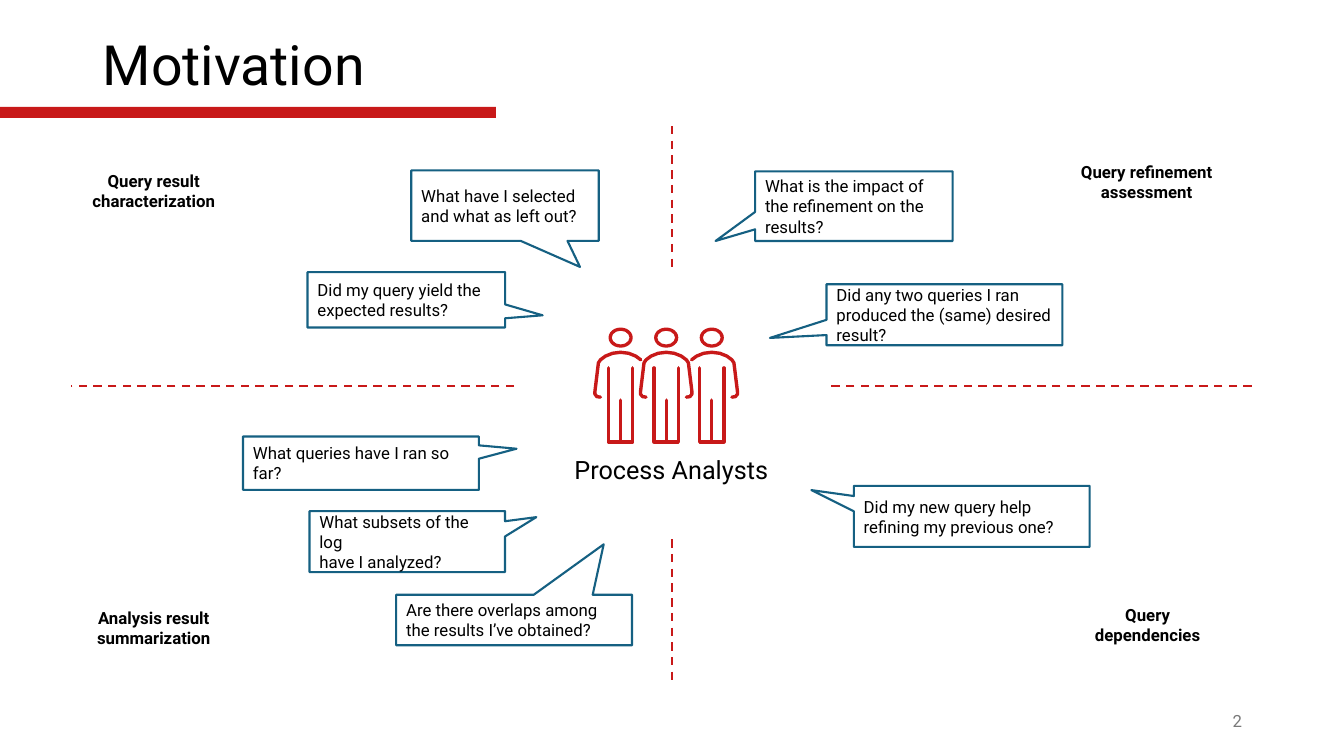
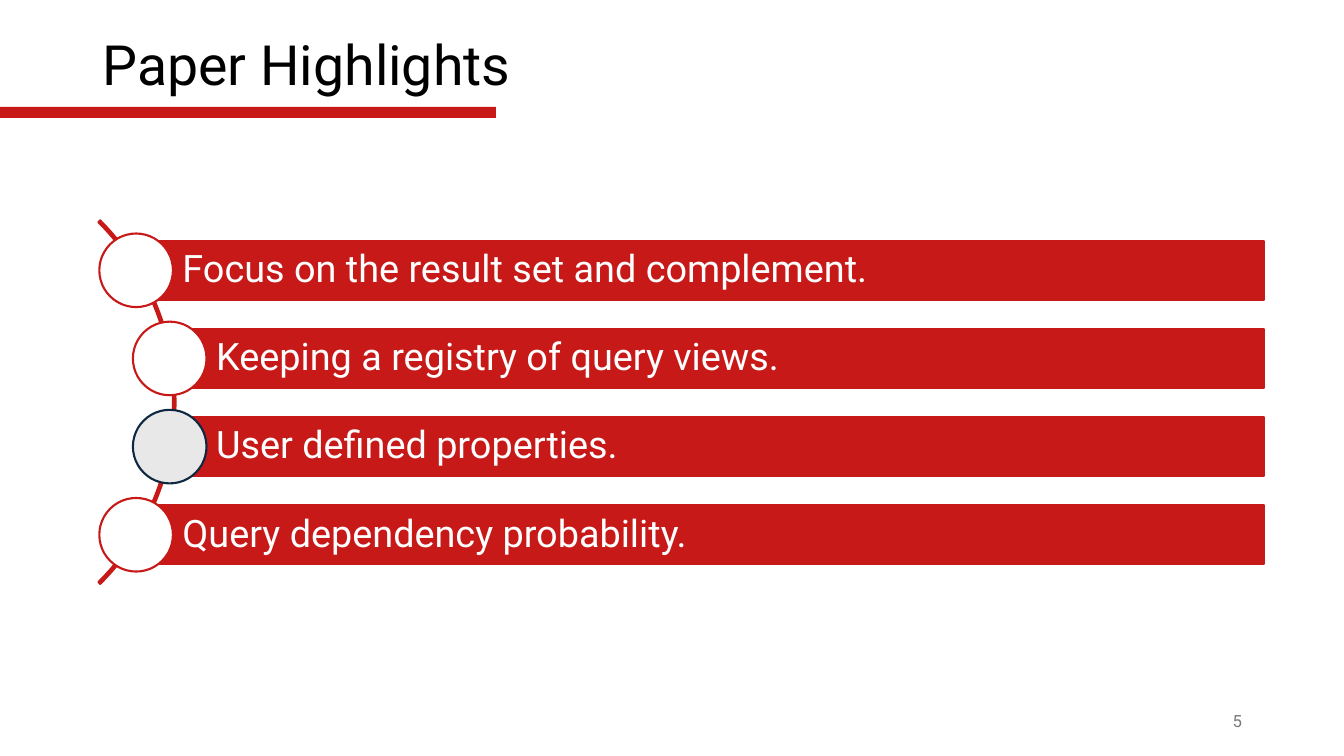
from lxml import etree
from pptx import Presentation
from pptx.dml.color import RGBColor
from pptx.enum.dml import MSO_LINE
from pptx.enum.shapes import MSO_CONNECTOR, MSO_SHAPE
from pptx.enum.text import MSO_ANCHOR, PP_ALIGN
from pptx.oxml.ns import qn
from pptx.util import Inches, Pt

RECT, CIRCLE, RING = MSO_SHAPE.RECTANGLE, MSO_SHAPE.OVAL, MSO_SHAPE.DONUT
CALLOUT, ARC = MSO_SHAPE.RECTANGULAR_CALLOUT, MSO_SHAPE.BLOCK_ARC
STRAIGHT, DASH = MSO_CONNECTOR.STRAIGHT, MSO_LINE.DASH
LEFT, CENTER, RIGHT = PP_ALIGN.LEFT, PP_ALIGN.CENTER, PP_ALIGN.RIGHT
TOP, MIDDLE = MSO_ANCHOR.TOP, MSO_ANCHOR.MIDDLE

WIDTH, HEIGHT = Inches(13.33), Inches(7.5)
FONT = "Roboto"
STROKE = 1.5
MILLI_INCH = Inches(1) / 1000
COLORS = {
    "red": "C81919",
    "blue": "156082",
    "navy": "0E2841",
    "white": "FFFFFF",
    "pale": "E8E8E8",
    "black": "000000",
    "gray": "797979",
}

# Text, place in percent of the slide, tail tip relative to the callout's centre
QUESTIONS = [
    ("What have I selected and what as left out?", (30.6, 22.53, 13.95, 9.33), (0.4, 0.87)),
    ("Did my query yield the\nexpected results?", (22.88, 36, 14.7, 7.33), (0.69, 0.28)),
    ("Did any two queries I ran produced the (same) desired result?",
     (61.5, 37.6, 17.55, 8.07), (-0.74, 0.38)),
    ("What is the impact of\nthe refinement on the results?",
     (56.18, 22.67, 14.7, 9.2), (-0.7, 0.5)),
    ("Did my new query help refining my previous one?",
     (63.53, 64.27, 17.55, 8.07), (-0.68, -0.43)),
    ("Are there overlaps among the results I’ve obtained?",
     (29.48, 78.67, 17.55, 6.67), (0.38, -1.5)),
    ("What queries have I ran so far?", (18.08, 57.73, 17.55, 7.07), (0.66, -0.27)),
    ("What subsets of the log\nhave I analyzed?", (23.03, 67.6, 14.55, 8.07), (0.66, -0.4)),
]
QUADRANTS = [
    ("Query result characterization", (5.7, 21.87, 11.48, 6.67)),
    ("Query refinement assessment", (79.13, 20.67, 12.38, 6.67)),
    ("Query dependencies", (79.2, 79.33, 12.38, 6.67)),
    ("Analysis result summarization", (5.25, 79.73, 12.38, 6.67)),
]
DIVIDERS = [
    (50, 16.67, 50, 35.87),
    (50, 71.33, 50, 90.4),
    (38.25, 51.07, 5.25, 51.07),
    (93.15, 51.07, 61.5, 51.07),
]
# Text, left edge in percent, circle fill, circle line
HIGHLIGHTS = [
    ("Focus on the result set and complement.", 10.13, "white", "red"),
    ("Keeping a registry of query views.", 12.63, "white", "red"),
    ("User defined properties.", 12.63, "pale", "navy"),
    ("Query dependency probability.", 10.13, "white", "red"),
]

# Analyst figure in thousandths of an inch, from the middle of the head's top
ARM = [(-200, 690), (-235, 685), (-255, 660), (-255, 635), (-220, 350),
       (-200, 320), (-150, 283), (-80, 255), (0, 245)]
SHOULDER_START = 5
LEGS = [(-120, 400), (-120, 1135), (120, 1135), (120, 400)]
INSEAM = [(0, 720), (0, 1135)]


def x(percent):
    return round(WIDTH * percent / 100)


def y(percent):
    return round(HEIGHT * percent / 100)


def box(left, top, width, height):
    return x(left), y(top), x(width), y(height)


def rgb(color):
    return RGBColor.from_string(COLORS[color])


def write(shape, text, size=12, color="black", bold=False, align=LEFT,
          anchor=MIDDLE, spacing=1.0, indent=0.1):
    frame = shape.text_frame
    frame.word_wrap = True
    frame.vertical_anchor = anchor
    frame.margin_left = Inches(indent)
    frame.text = text
    for paragraph in frame.paragraphs:
        paragraph.alignment = align
        paragraph.line_spacing = spacing
        font = paragraph.font
        font.name, font.size, font.bold = FONT, Pt(size), bold
        font.color.rgb = rgb(color)


def add_label(slide, text, place, **style):
    write(slide.shapes.add_textbox(*box(*place)), text, **style)


def add_figure(slide, kind, place, fill, line=None, adjustments=()):
    """Add a preset shape; place is in EMU."""
    shape = slide.shapes.add_shape(kind, *place)
    shape.shadow.inherit = False
    shape.fill.solid()
    shape.fill.fore_color.rgb = rgb(fill)
    if line:
        shape.line.color.rgb = rgb(line)
        shape.line.width = Pt(STROKE)
    else:
        shape.line.fill.background()
    for index, value in enumerate(adjustments):
        shape.adjustments[index] = value
    return shape


def add_divider(slide, x1, y1, x2, y2):
    divider = slide.shapes.add_connector(STRAIGHT, x(x1), y(y1), x(x2), y(y2))
    divider.line.color.rgb = rgb("red")
    divider.line.width = Pt(STROKE)
    divider.line.dash_style = DASH
    etree.SubElement(divider._element.spPr, qn("a:effectLst"))


def add_strokes(slide, origin, *strokes):
    """Draw open outlines, given in thousandths of an inch from origin."""
    first, *others = strokes
    builder = slide.shapes.build_freeform(*first[0], scale=MILLI_INCH)
    builder.add_line_segments(first[1:], close=False)
    for stroke in others:
        builder.move_to(*stroke[0])
        builder.add_line_segments(stroke[1:], close=False)
    outline = builder.convert_to_shape(*origin)
    outline.shadow.inherit = False
    outline.fill.background()
    outline.line.color.rgb = rgb("red")
    outline.line.width = Pt(2.4)
    outline.line._get_or_add_ln().set("cap", "rnd")


def add_analyst(slide, center, top, left_arm=True, right_arm=True):
    head_width, head_height = Inches(0.24), Inches(0.2)
    add_figure(slide, RING, (center - head_width // 2, top, head_width, head_height),
               "red", adjustments=[0.16])
    left = ARM if left_arm else ARM[SHOULDER_START:]
    right = ARM if right_arm else ARM[SHOULDER_START:]
    arms = left + [(-across, down) for across, down in reversed(right[:-1])]
    add_strokes(slide, (center, top), arms, LEGS, INSEAM)


def add_page(deck, title, number):
    slide = deck.slides.add_slide(deck.slide_layouts[6])
    add_figure(slide, RECT, box(0, 14.13, 36.9, 1.47), "red")
    add_label(slide, title, (6.9, 4.13, 86.25, 9.73), size=39.6, spacing=0.9)
    add_label(slide, str(number), (88.95, 92.67, 4.2, 5.33), color="gray", align=RIGHT)
    return slide


def build_motivation(deck):
    slide = add_page(deck, "Motivation", 2)
    for index in range(3):
        add_analyst(slide, x(46.18 + 3.39 * index), y(43.33),
                    left_arm=index < 2, right_arm=index > 0)
    add_label(slide, "Process Analysts", (42, 59.47, 15.98, 5.33), size=18, anchor=TOP)
    for text, place, tail in QUESTIONS:
        write(add_figure(slide, CALLOUT, box(*place), "white", "blue", tail), text)
    for text, place in QUADRANTS:
        add_label(slide, text, place, bold=True, align=CENTER, anchor=TOP)
    for ends in DIVIDERS:
        add_divider(slide, *ends)


def build_highlights(deck):
    slide = add_page(deck, "Paper Highlights", 5)
    arc_size = Inches(5.1)
    # Start and end angles are 315 and 45 degrees
    add_figure(slide, ARC, (x(-25.2), y(19.2), arc_size, arc_size),
               "red", "red", (189, 27, 0.005))
    bar_height, diameter, right_edge = y(7.78), Inches(0.73), x(94.05)
    for row, (text, start, fill, line) in enumerate(HIGHLIGHTS):
        left, top = x(start), y(31.87 + 11.66 * row)
        bar = add_figure(slide, RECT, (left, top, right_edge - left, bar_height), "red", "red")
        write(bar, text, size=27, color="white", spacing=0.9, indent=0.46)
        circle_top = top + (bar_height - diameter) // 2
        add_figure(slide, CIRCLE, (left - diameter // 2, circle_top, diameter, diameter),
                   fill, line)


def main():
    deck = Presentation()
    deck.slide_width, deck.slide_height = WIDTH, HEIGHT
    build_motivation(deck)
    build_highlights(deck)
    deck.save("out.pptx")


if __name__ == "__main__":
    main()
